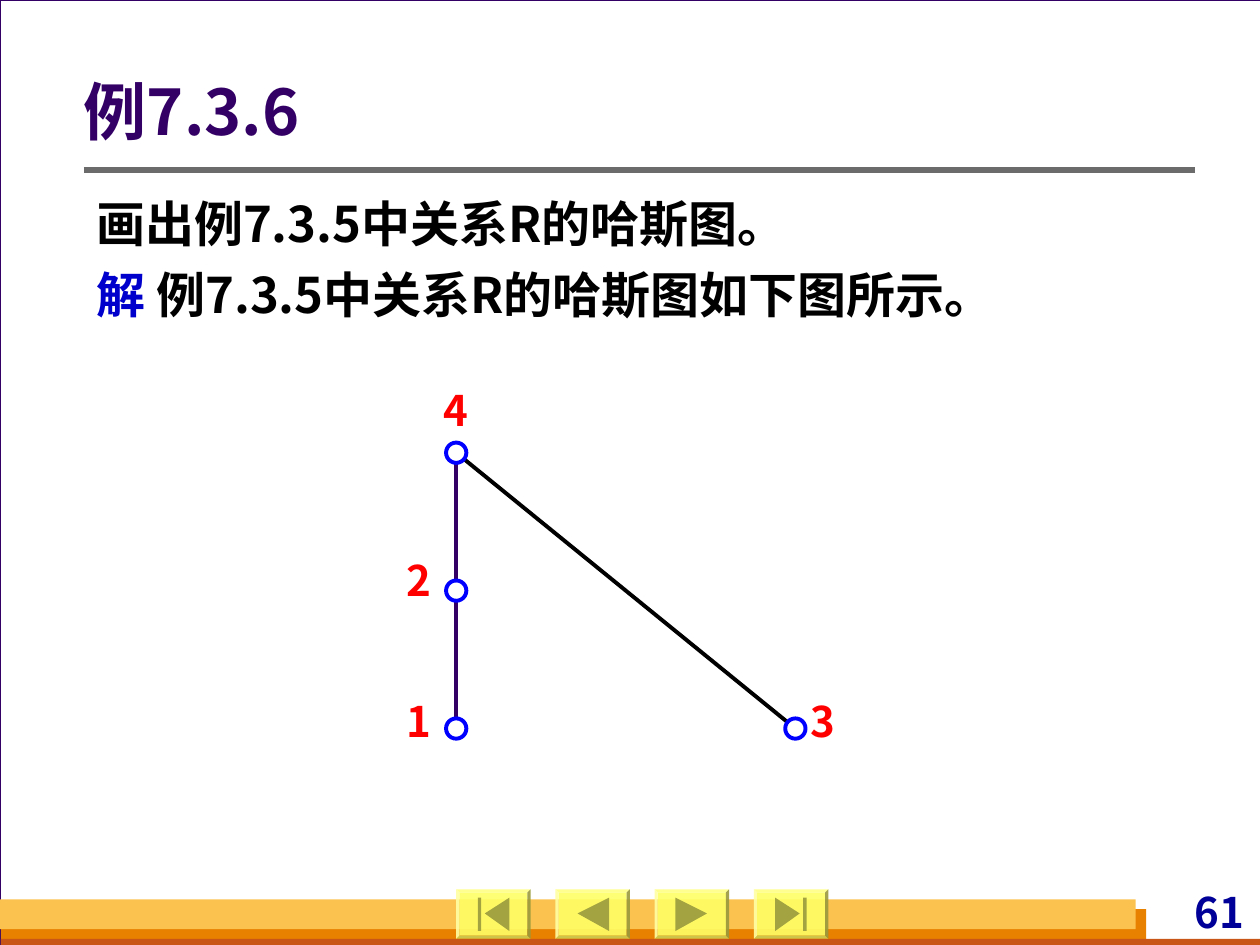
import pptx
import pptx.util
import pptx.dml.color
import pptx.enum.shapes
import pptx.enum.text
import pptx.oxml.ns
from dataclasses import dataclass
from lxml import etree

Pt = pptx.util.Pt
SHAPE = pptx.enum.shapes.MSO_SHAPE
ALIGN = pptx.enum.text.PP_ALIGN
ANCHOR = pptx.enum.text.MSO_ANCHOR
qn = pptx.oxml.ns.qn


@dataclass(frozen=True)
class Theme:
    font: str = "Noto Sans CJK SC"
    title_size: float = 36
    body_size: float = 28
    label_size: float = 24
    white: str = "FFFFFF"
    ink: str = "000000"
    purple: str = "330066"
    answer: str = "0000CC"
    page: str = "000099"
    label: str = "FF0000"
    node: str = "0000FF"
    rule: str = "6B6B6B"
    button: str = "FFFF66"
    icon: str = "A3A341"
    backdrop: str = "D8DADA"
    bar_light: str = "FCC24F"
    bar_mid: str = "E88000"
    bar_dark: str = "C95616"


def rgb(value):
    return pptx.dml.color.RGBColor.from_string(value)


def write(tf, paragraphs, *, font, size, align=ALIGN.LEFT, anchor=ANCHOR.TOP,
          insets=(0, 0, 0, 0), line_spacing=1.0, gap=0):
    """Fill a text frame; each paragraph is a list of (text, colour) runs."""
    tf.word_wrap = True
    tf.auto_size = pptx.enum.text.MSO_AUTO_SIZE.NONE
    tf.vertical_anchor = anchor
    tf.margin_left, tf.margin_top, tf.margin_right, tf.margin_bottom = map(Pt, insets)
    for i, runs in enumerate(paragraphs):
        p = tf.add_paragraph() if i else tf.paragraphs[0]
        p.alignment = align
        p.line_spacing = line_spacing
        p.space_before = Pt(gap if i else 0)
        for text, color in runs:
            r = p.add_run()
            r.text = text
            r.font.name, r.font.size, r.font.bold = font, Pt(size), True
            r.font.color.rgb = rgb(color)
            ea = etree.SubElement(r.font._element, qn("a:ea"))
            ea.set("typeface", font)


class SlideBuilder:
    def __init__(self, s, theme):
        self.s, self.theme = s, theme

    def paint(self, sp, fill, line=None, width=0, alpha=None):
        sp.shadow.inherit = False
        sp.fill.solid()
        sp.fill.fore_color.rgb = rgb(fill)
        if alpha is not None:
            color = sp.fill._xPr.find(qn("a:solidFill"))[0]
            etree.SubElement(color, qn("a:alpha")).set("val", str(alpha * 1000))
        if line:
            sp.line.color.rgb = rgb(line)
            sp.line.width = Pt(width)
        else:
            sp.line.fill.background()
        return sp

    def shape(self, kind, x, y, w, h, fill, **paint):
        sp = self.s.shapes.add_shape(kind, Pt(x), Pt(y), Pt(w), Pt(h))
        return self.paint(sp, fill, **paint)

    def line(self, start, end, color, width):
        sp = self.s.shapes.add_connector(
            pptx.enum.shapes.MSO_CONNECTOR.STRAIGHT, *map(Pt, (*start, *end)))
        sp.line.color.rgb = rgb(color)
        sp.line.width = Pt(width)
        etree.SubElement(sp._element.spPr, qn("a:effectLst"))

    def text(self, x, y, w, h, paragraphs, **fmt):
        sp = self.s.shapes.add_textbox(Pt(x), Pt(y), Pt(w), Pt(h))
        write(sp.text_frame, paragraphs, font=self.theme.font, **fmt)

    def title(self, x, y, w, h, text):
        sp = self.s.shapes.title
        sp.left, sp.top, sp.width, sp.height = map(Pt, (x, y, w, h))
        write(sp.text_frame, [[(text, self.theme.purple)]], font=self.theme.font,
              size=self.theme.title_size, anchor=ANCHOR.MIDDLE,
              insets=(0, 3.6, 7.2, 3.6), line_spacing=0.9)

    def polygons(self, outlines, fill):
        """Draw several closed outlines as one shape."""
        fb = None
        for first, *rest in outlines:
            if fb is None:
                fb = self.s.shapes.build_freeform(*first, scale=Pt(1))
            else:
                fb.move_to(*first)
            fb.add_line_segments(rest, close=True)
        self.paint(fb.convert_to_shape(), fill)

    def nav_button(self, x, y, forward, to_end):
        """Bevelled button with an arrow, and a stop bar when it jumps to an end."""
        w, h, icon_w, icon_h = 42.5, 28.2, 18, 18.8
        sp = self.shape(SHAPE.BEVEL, x, y, w, h, self.theme.button, alpha=90)
        sp.adjustments[0] = 0.0625
        cx, cy = x + w / 2, y + h / 2
        top, bottom = cy - icon_h / 2, cy + icon_h / 2
        side = 1 if forward else -1
        back, front = cx - side * icon_w / 2, cx + side * icon_w / 2
        tip = front - side * 4.4 if to_end else front
        outlines = [[(back, top), (tip, cy), (back, bottom)]]
        if to_end:
            inner = front - side * 2.2
            outlines.append([(inner, top), (front, top), (front, bottom), (inner, bottom)])
        self.polygons(outlines, self.theme.icon)

    def node(self, center, name, label_offset):
        size, label_w, label_h = 11.6, 17.3, 34.8
        cx, cy = center
        dx, dy = label_offset
        self.shape(SHAPE.OVAL, cx - size / 2, cy - size / 2, size, size,
                   self.theme.white, line=self.theme.node, width=2.25)
        self.text(cx + dx - label_w / 2, cy + dy - label_h / 2, label_w, label_h,
                  [[(name, self.theme.label)]], size=self.theme.label_size)


def main():
    t = Theme()
    prs = pptx.Presentation()
    prs.slide_width, prs.slide_height = Pt(720), Pt(540)
    s = prs.slides.add_slide(prs.slide_layouts[5])
    s.background.fill.solid()
    s.background.fill.fore_color.rgb = rgb(t.backdrop)
    b = SlideBuilder(s, t)

    b.shape(SHAPE.RECTANGLE, 0, 0, 720.5, 540, t.white, line=t.purple, width=0.75)
    b.shape(SHAPE.RECTANGLE, 0.5, 519.5, 654.5, 20.5, t.bar_mid)
    b.shape(SHAPE.RECTANGLE, 0.5, 536.5, 719.5, 3.5, t.bar_dark)
    b.shape(SHAPE.RECTANGLE, 0, 514, 649, 17, t.bar_light)
    b.text(610, 506.7, 104, 34.8, [[("61", t.page)]], size=t.label_size,
           align=ALIGN.RIGHT, insets=(3, 0, 3, 0))
    b.line((48, 97.2), (683, 97.2), t.rule, 3)

    buttons = [(False, True), (False, False), (True, False), (True, True)]
    for i, (forward, to_end) in enumerate(buttons):
        b.nav_button(260.7 + 56.7 * i, 508.2, forward, to_end)

    b.title(48, 38, 635, 56, "例7.3.6")
    b.text(48, 107.2, 635, 95,
           [[("画出例7.3.5中关系R的哈斯图。", t.ink)],
            [("解", t.answer), (" 例7.3.5中关系R的哈斯图如下图所示。", t.ink)]],
           size=t.body_size, align=ALIGN.JUSTIFY, insets=(7.2, 3.6, 7.2, 3.6), gap=7)

    chain_x, top, step = 260.7, 258.7, 78.8
    centers = {"4": (chain_x, top), "2": (chain_x, top + step),
               "1": (chain_x, top + 2 * step), "3": (454.5, top + 2 * step)}
    edges = [("4", "3", t.ink), ("4", "2", t.purple), ("2", "1", t.purple)]
    label_offsets = {"4": (1.4, -21.8), "2": (-19.5, -3.4),
                     "1": (-19.5, -1.6), "3": (17.1, -1.6)}
    for upper, lower, color in edges:
        b.line(centers[upper], centers[lower], color, 2.25)
    for name, center in centers.items():
        b.node(center, name, label_offsets[name])

    # The title placeholder belongs in front of the page frame.
    s.shapes._spTree.append(s.shapes.title._element)
    prs.save("out.pptx")


if __name__ == "__main__":
    main()
